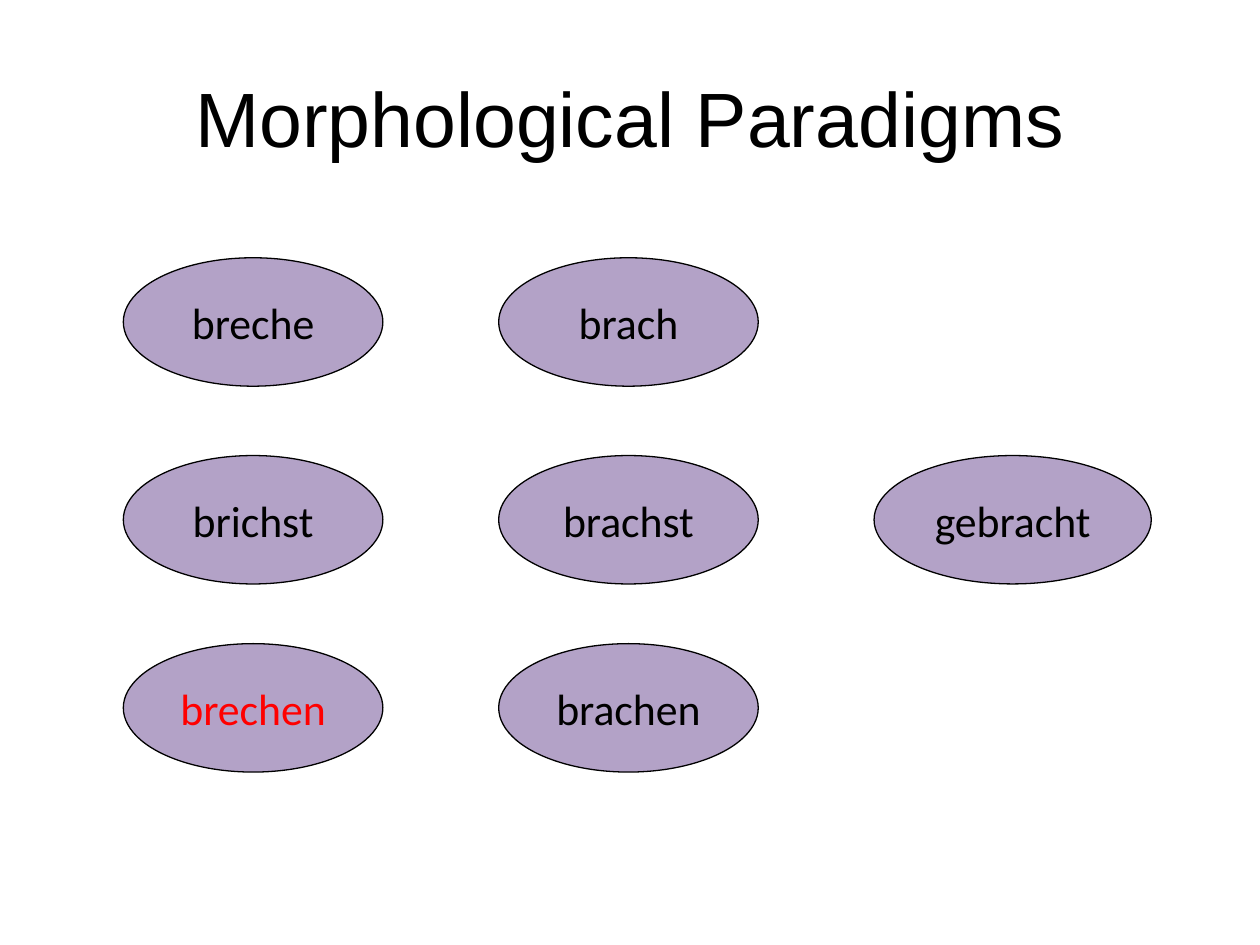
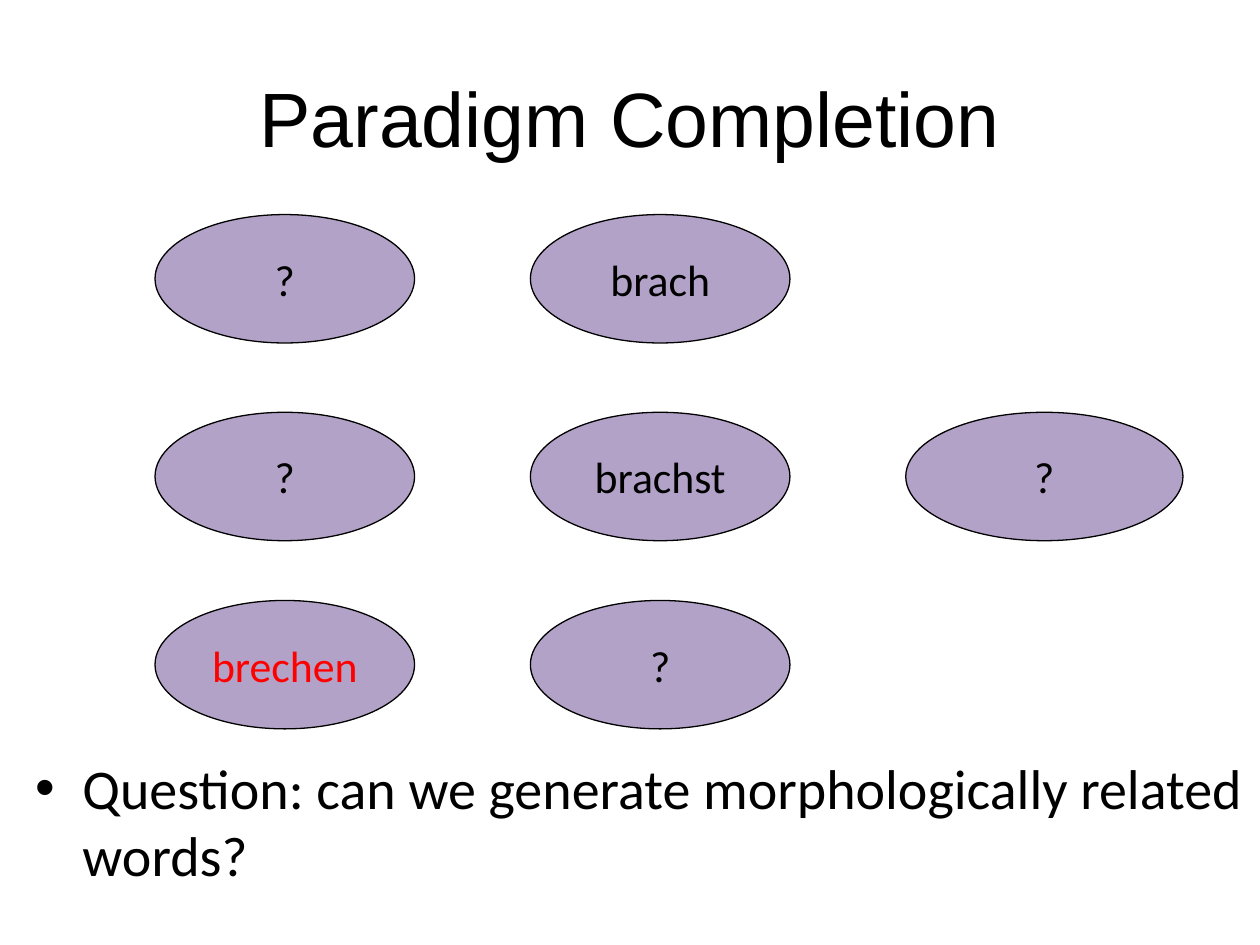
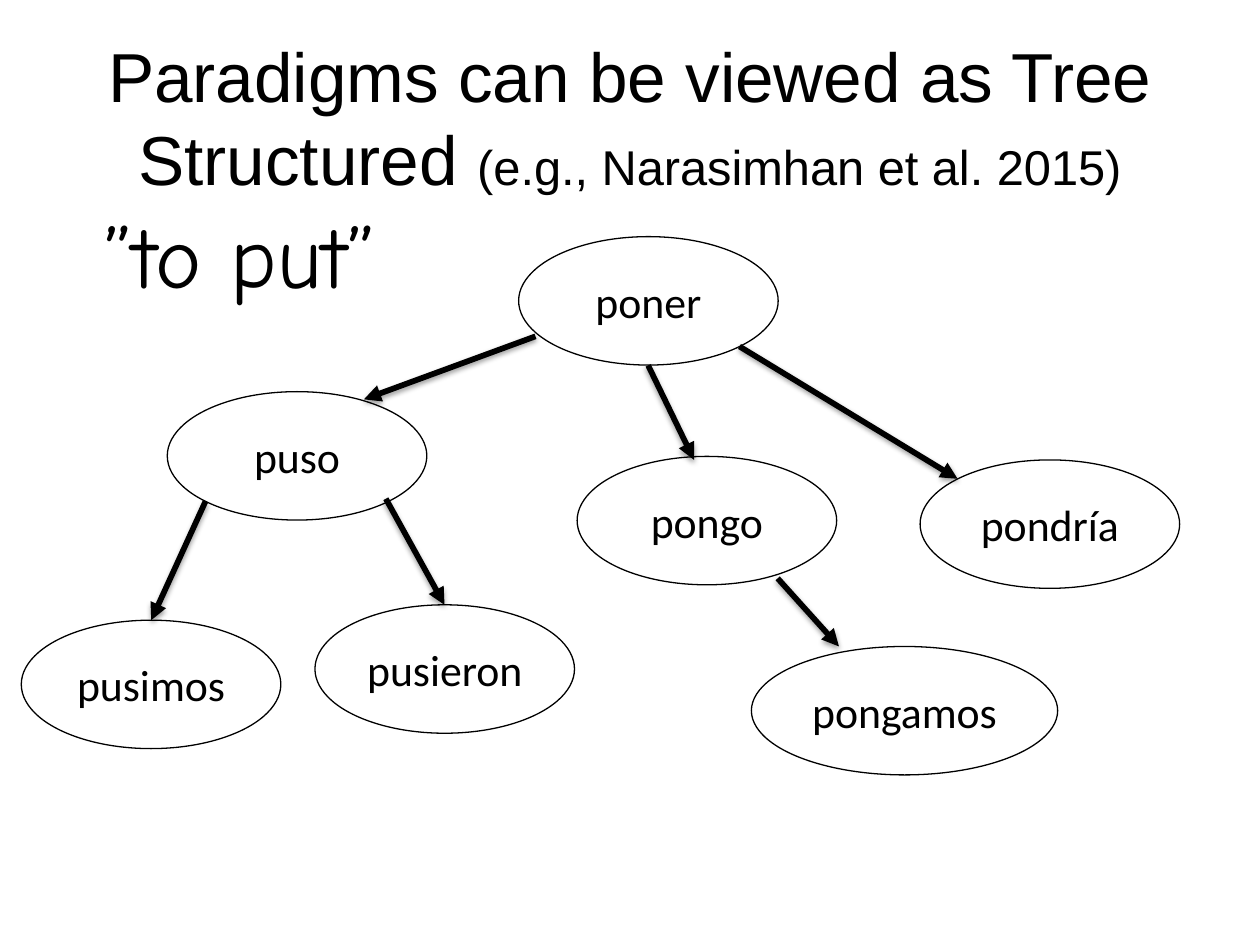
import pptx
import pptx.util
import pptx.dml.color
import pptx.enum.shapes
import pptx.enum.text
import pptx.oxml
import pptx.oxml.ns

Pt = pptx.util.Pt
RGB = pptx.dml.color.RGBColor
BLACK = RGB(0, 0, 0)
WHITE = RGB(255, 255, 255)
RED = RGB(255, 0, 0)
LILAC = RGB(0xB3, 0xA2, 0xC7)
NS = pptx.oxml.ns.nsdecls("a")
ALIGN = pptx.enum.text.PP_ALIGN
WIDE, HIGH = 148.3, 73.4  # usual ellipse size

deck = pptx.Presentation()
deck.slide_width, deck.slide_height = Pt(720), Pt(540)


def add_slide(text, left=36, width=648, size=44):
    slide = deck.slides.add_slide(deck.slide_layouts[5])
    title = slide.shapes.title
    title.left, title.top = Pt(left), Pt(21.6)
    title.width, title.height = Pt(width), Pt(90)
    frame = title.text_frame
    frame.text = text
    frame.auto_size = pptx.enum.text.MSO_AUTO_SIZE.NONE
    frame.vertical_anchor = pptx.enum.text.MSO_ANCHOR.MIDDLE
    para = frame.paragraphs[0]
    para.alignment = ALIGN.CENTER
    font = para.runs[0].font
    font.name, font.size, font.color.rgb = "Arial", Pt(size), BLACK
    return slide


def add_word(slide, word, left, top, width, fill):
    oval = slide.shapes.add_shape(
        pptx.enum.shapes.MSO_SHAPE.OVAL, Pt(left), Pt(top), Pt(width), Pt(HIGH))
    oval.shadow.inherit = False
    oval.fill.solid()
    oval.fill.fore_color.rgb = fill
    oval.line.color.rgb = BLACK
    oval.line.width = Pt(0.75)
    frame = oval.text_frame
    frame.text = word
    frame.vertical_anchor = pptx.enum.text.MSO_ANCHOR.MIDDLE
    para = frame.paragraphs[0]
    para.alignment = ALIGN.CENTER
    font = para.runs[0].font
    font.name, font.size = "Calibri", Pt(25)
    font.color.rgb = RED if word == "brechen" else BLACK


# Slides 1 and 2: verb forms in columns, empty cells left out
ROWS = [0, 113, 220.5]
STEP = 214.5
GRIDS = [
    ("Morphological Paradigms", 70.5, 147.3,
     [["breche", "brichst", "brechen"], ["brach", "brachst", "brachen"],
      [None, "gebracht", None]]),
    ("Paradigm Completion", 88.6, 122.6,
     [["?", "?", "brechen"], ["brach", "brachst", "?"], [None, "?", None]]),
]
for head, left, top, cols in GRIDS:
    slide = add_slide(head)
    for col, words in enumerate(cols):
        width = 158.4 if col == 2 else WIDE
        for row, word in zip(ROWS, words):
            if word:
                add_word(slide, word, left + col * STEP, top + row, width, LILAC)

# Question below the second grid
box = slide.shapes.add_textbox(Pt(13), Pt(427), Pt(707), Pt(90))
frame = box.text_frame
frame.word_wrap = True
frame.text = "Question: can we generate morphologically related words?"
para = frame.paragraphs[0]
props = para._p.get_or_add_pPr()
props.set("marL", str(Pt(27)))
props.set("indent", str(Pt(-27)))
props.append(pptx.oxml.parse_xml(f'<a:buFont {NS} typeface="Arial"/>'))
props.append(pptx.oxml.parse_xml(f'<a:buChar {NS} char="•"/>'))
font = para.runs[0].font
font.name, font.size, font.color.rgb = "Calibri", Pt(32), BLACK

# Slide 3: tree of forms
slide = add_slide("Paradigms can be viewed as Tree Structured ", 0, 720, 39.6)
cite = slide.shapes.title.text_frame.paragraphs[0].add_run()
cite.text = "(e.g., Narasimhan et al. 2015)"
cite.font.name, cite.font.size, cite.font.color.rgb = "Arial", Pt(27.9), BLACK

NODES = [
    ("poner", 296.4, 135.2, WIDE),
    ("pondría", 525.8, 262.8, WIDE),
    ("puso", 95.6, 223.8, WIDE),
    ("pusieron", 180, 345.6, WIDE),
    ("pongo", 329.8, 260.8, WIDE),
    ("pongamos", 429.4, 369.4, 175),
    ("pusimos", 12.2, 354.4, WIDE),
]
for word, left, top, width in NODES:
    add_word(slide, word, left, top, width, WHITE)

# Arrows from parent to child
ARROWS = [
    (306, 192.2, 208, 228.2),
    (422.6, 198, 547.2, 273.6),
    (220.5, 285, 254, 345.6),
    (370.4, 208.8, 396.6, 262.8),
    (444.4, 330.5, 479.4, 369.4),
    (117.4, 286.6, 86.4, 354.4),
]
for ends in ARROWS:
    arrow = slide.shapes.add_connector(
        pptx.enum.shapes.MSO_CONNECTOR.STRAIGHT, *[Pt(end) for end in ends])
    arrow.line.color.rgb = BLACK
    arrow.line.width = Pt(3.25)
    arrow.line._get_or_add_ln().append(
        pptx.oxml.parse_xml(f'<a:tailEnd {NS} type="triangle"/>'))
    arrow._element.spPr.append(pptx.oxml.parse_xml(
        f'<a:effectLst {NS}><a:outerShdw blurRad="{Pt(3.1)}" dist="{Pt(1.6)}" '
        'dir="5400000" rotWithShape="0"><a:srgbClr val="000000">'
        '<a:alpha val="38000"/></a:srgbClr></a:outerShdw></a:effectLst>'))

# Meaning of the verb
box = slide.shapes.add_textbox(Pt(52.6), Pt(111.6), Pt(196.6), Pt(67.7))
frame = box.text_frame
frame.word_wrap = False
frame.text = "”to put”"
font = frame.paragraphs[0].runs[0].font
font.name, font.size, font.color.rgb = "Comic Neue", Pt(50), BLACK

deck.save("out.pptx")
